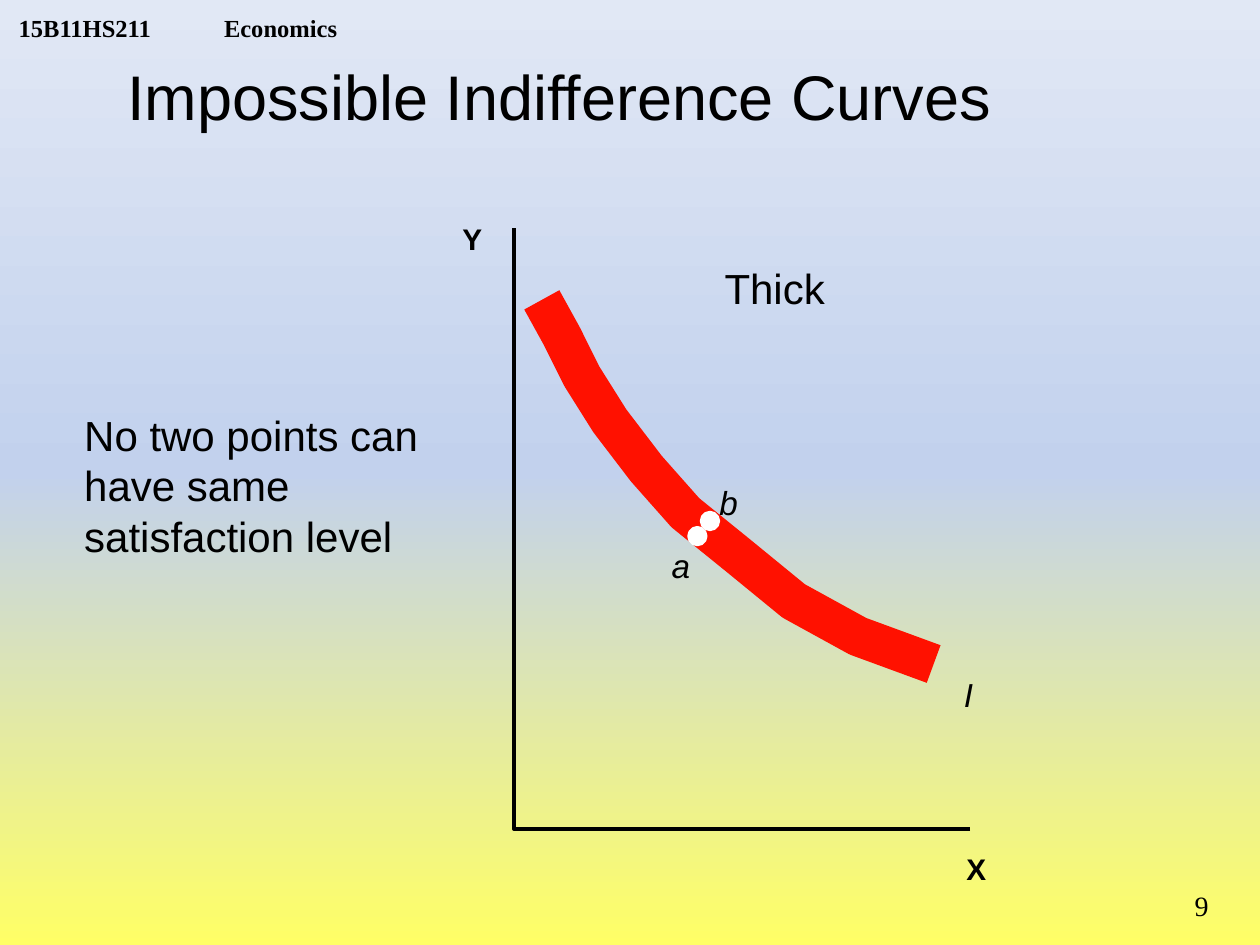
"""Build the economics slide on impossible (thick) indifference curves."""
from copy import deepcopy

from pptx import Presentation
from pptx.dml.color import RGBColor
from pptx.enum.shapes import MSO_SHAPE as SHAPE
from pptx.enum.text import MSO_ANCHOR as ANCHOR, PP_ALIGN as ALIGN
from pptx.oxml import parse_xml
from pptx.oxml.ns import nsdecls, qn
from pptx.util import Inches, Pt

BLACK, WHITE, RED = "000000", "FFFFFF", "FF1100"


def color(hex_value):
    return RGBColor.from_string(hex_value)


def write(shape, box, text, size, font="Arial", bold=False, italic=False, align=ALIGN.LEFT,
          anchor=ANCHOR.TOP, margins=(0.1, 0.05), wrap=False, tab=None):
    shape.left, shape.top, shape.width, shape.height = map(Inches, box)
    frame = shape.text_frame
    frame.word_wrap = wrap
    frame.vertical_anchor = anchor
    frame.margin_left = frame.margin_right = Inches(margins[0])
    frame.margin_top = frame.margin_bottom = Inches(margins[1])
    paragraph = frame.paragraphs[0]
    paragraph.text = text
    paragraph.alignment = align
    if tab:
        paragraph._p.get_or_add_pPr().append(parse_xml(
            f'<a:tabLst {nsdecls("a")}><a:tab pos="{Inches(tab)}" algn="l"/></a:tabLst>'))
    paragraph.font.name, paragraph.font.size = font, Pt(size)
    paragraph.font.bold, paragraph.font.italic = bold, italic
    paragraph.font.color.rgb = color(BLACK)


presentation = Presentation()
presentation.slide_width, presentation.slide_height = Inches(10), Inches(7.5)
slide = presentation.slides.add_slide(presentation.slide_layouts[5])
shapes = slide.shapes

background = slide.background.fill
background.gradient()
background.gradient_angle = 90
stop_list = slide.element.find(".//" + qn("a:gsLst"))
stop_list.append(deepcopy(stop_list[-1]))
for stop, position, hex_value in zip(background.gradient_stops, (0, 0.5, 1),
                                     ("FFFF66", "C2D1ED", "E1E8F5")):
    stop.position = position
    stop.color.rgb = color(hex_value)

write(shapes.title, (0.91, 0.41, 7.12, 0.71), "Impossible Indifference Curves", 36)
write(shapes.add_textbox(0, 0, 0, 0), (0.05, 0, 3.2, 0.34), "15B11HS211\tEconomics", 14,
      font="Times New Roman", bold=True, anchor=ANCHOR.BOTTOM, margins=(0.1, 0), wrap=True, tab=1.63)

curve = [(4.3, 2.38), (4.46, 2.67), (4.62, 2.99), (4.84, 3.34), (5.13, 3.72),
         (5.44, 4.07), (5.86, 4.41), (6.3, 4.77), (6.81, 5.05), (7.41, 5.27)]
axes = [(7.7, 6.58), (4.08, 6.58), (4.08, 1.81)]
for points, hex_value, width in ((curve, RED, 22.88), (axes, BLACK, 2.25)):
    start, *rest = [(Inches(x), Inches(y)) for x, y in points]
    builder = shapes.build_freeform(*start)
    builder.add_line_segments(rest, close=False)
    outline = builder.convert_to_shape()
    outline.shadow.inherit = False
    outline.fill.background()
    outline.line.color.rgb = color(hex_value)
    outline.line.width = Pt(width)

for left, top in ((5.47, 4.19), (5.57, 4.07)):
    point = shapes.add_shape(SHAPE.OVAL, Inches(left), Inches(top), Inches(0.13), Inches(0.13))
    point.shadow.inherit = False
    point.fill.solid()
    point.fill.fore_color.rgb = color(WHITE)
    point.line.color.rgb = color(WHITE)
    point.line.width = Pt(2.25)

for text, box, size, bold, italic in (
        ("a", (5.33, 4.33, 0.22, 0.25), 19, False, True),
        ("b", (5.71, 3.83, 0.22, 0.25), 19, False, True),
        ("Thick", (5.75, 2.08, 0.81, 0.4), 24, False, False),
        ("I", (7.65, 5.35, 0.13, 0.25), 19, False, True),
        ("Y", (3.67, 1.75, 0.16, 0.29), 17, True, False),
        ("X", (7.67, 6.75, 0.16, 0.29), 17, True, False)):
    write(shapes.add_textbox(0, 0, 0, 0), box, text, size, bold=bold, italic=italic, margins=(0, 0))

write(shapes.add_textbox(0, 0, 0, 0), (0.57, 3.2, 3.34, 1.31),
      "No two points can have same satisfaction level", 24, wrap=True)
write(shapes.add_textbox(0, 0, 0, 0), (8.92, 7, 0.77, 0.4), "9", 16,
      font="Times New Roman", align=ALIGN.RIGHT, wrap=True)

presentation.save("out.pptx")
